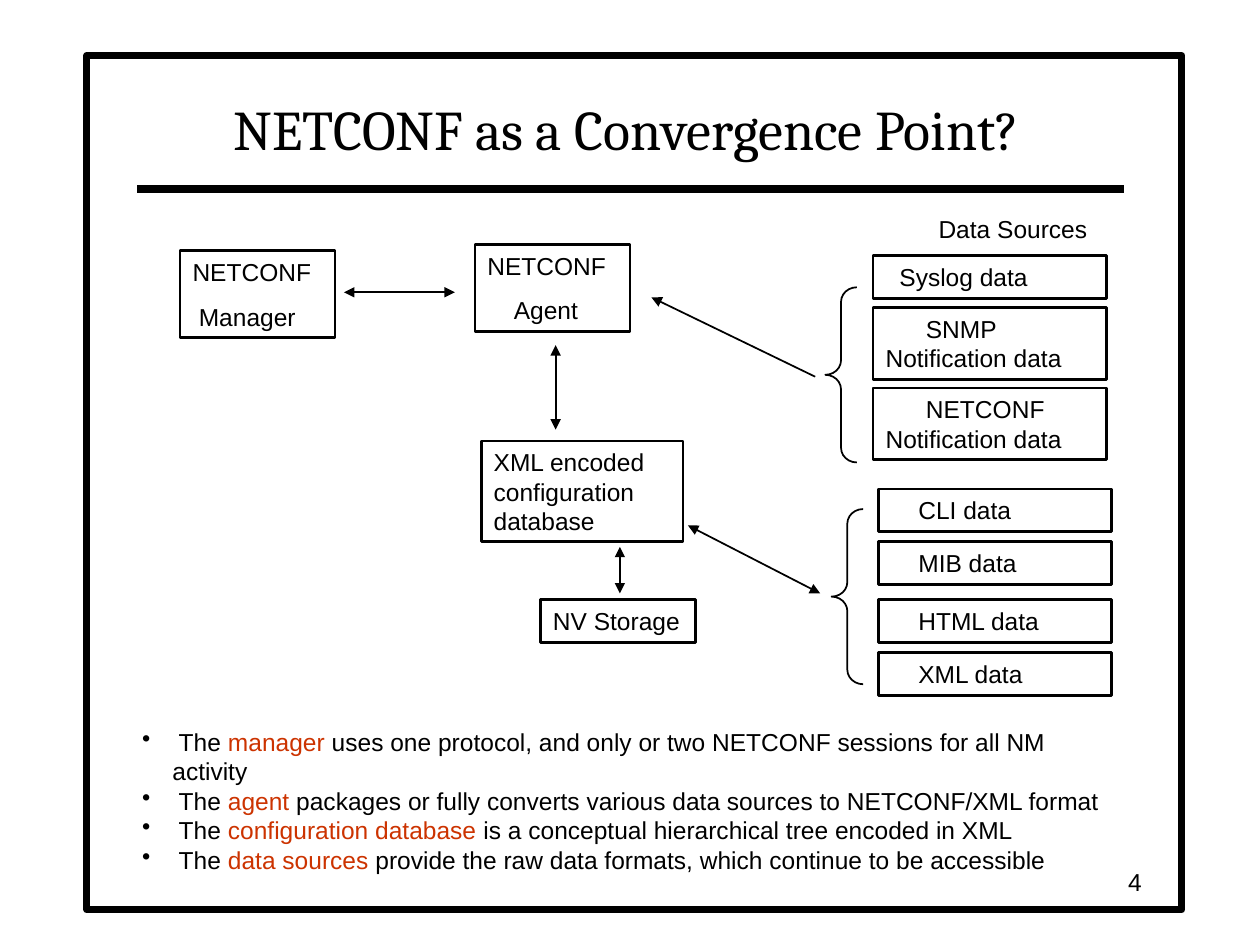
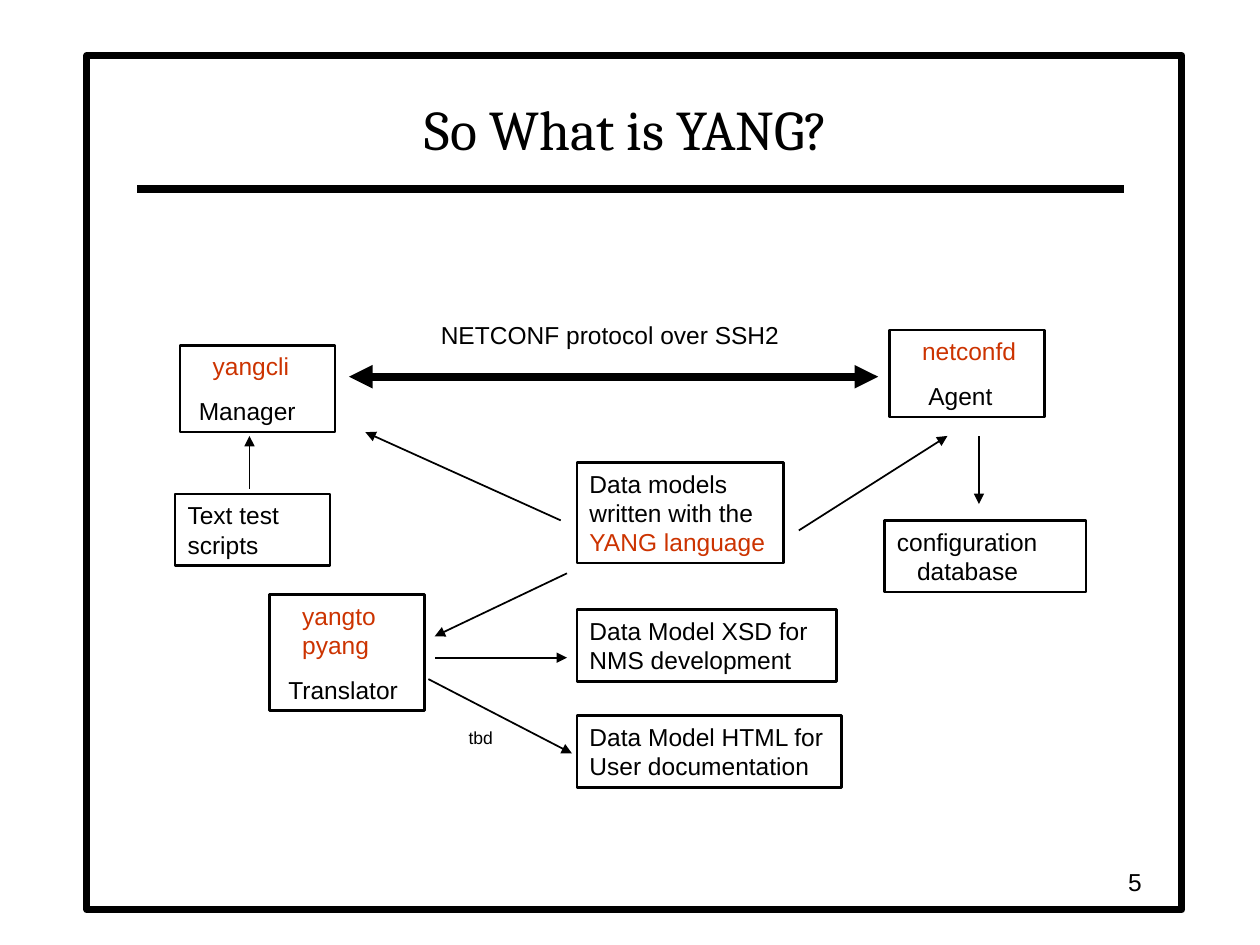
"""Build two slides on NETCONF and YANG."""
from dataclasses import dataclass

from lxml import etree
from pptx import Presentation
from pptx.dml.color import RGBColor
from pptx.enum.shapes import MSO_CONNECTOR, MSO_SHAPE
from pptx.enum.text import MSO_ANCHOR, PP_ALIGN
from pptx.oxml.ns import qn
from pptx.util import Pt

PX = 9144
RECTANGLE, BRACE = MSO_SHAPE.RECTANGLE, MSO_SHAPE.LEFT_BRACE
STRAIGHT = MSO_CONNECTOR.STRAIGHT
TOP, MIDDLE, BOTTOM = MSO_ANCHOR.TOP, MSO_ANCHOR.MIDDLE, MSO_ANCHOR.BOTTOM
LEFT, CENTER, RIGHT = PP_ALIGN.LEFT, PP_ALIGN.CENTER, PP_ALIGN.RIGHT


@dataclass(frozen=True)
class Theme:
    """Colours, fonts, type sizes and line widths of the deck."""
    ink: RGBColor = RGBColor(0, 0, 0)
    paper: RGBColor = RGBColor(255, 255, 255)
    accent: RGBColor = RGBColor(0xCC, 0x33, 0)
    title_font: str = "Cambria"
    body_font: str = "Arial"
    title_size: int = 32
    body_size: int = 14
    note_size: int = 10
    thin: float = 1
    outline: float = 1.5
    frame: float = 4
    thick: float = 4.5
    paragraph_gap: float = 8.8


THEME = Theme()


@dataclass
class Region:
    """A box on a slide, against which parts are placed."""
    slide: object
    left: int
    top: int
    width: int
    height: int

    def place(self, left, top, width, height):
        """Return the EMU rectangle of a part given relative to the region."""
        return [PX * length for length in
                (self.left + left, self.top + top, width, height)]

    def point(self, position):
        """Return the EMU position of a point in the region."""
        return PX * (self.left + position[0]), PX * (self.top + position[1])


@dataclass
class Line:
    """A paragraph; its accented words stand between asterisks."""
    text: str
    left: int = 0
    first: int = 0
    before: float = THEME.paragraph_gap
    bullet: str = ""


def apply(target, values):
    """Set attributes from a dict of format values."""
    for name, value in values.items():
        setattr(target, name, value)


def write(shape, lines, size=THEME.body_size, font=THEME.body_font,
          align=LEFT, anchor=TOP, wrap=True):
    """Fill a shape with paragraphs."""
    frame = shape.text_frame
    apply(frame, {"word_wrap": wrap, "vertical_anchor": anchor,
                  "margin_left": 10 * PX, "margin_right": 10 * PX,
                  "margin_top": 5 * PX, "margin_bottom": 5 * PX})
    for index, line in enumerate(lines):
        paragraph = frame.add_paragraph() if index else frame.paragraphs[0]
        properties = paragraph._p.get_or_add_pPr()
        properties.set("marL", str(line.left * PX))
        properties.set("indent", str(line.first * PX))
        if line.bullet:
            etree.SubElement(properties, qn("a:buChar"), char=line.bullet)
        apply(paragraph, {"alignment": align,
                          "space_before": Pt(line.before if index else 0)})
        for part, text in enumerate(line.text.split("*")):
            if text:
                run = paragraph.add_run()
                run.text = text
                apply(run.font, {"name": font, "size": Pt(size)})
                run.font.color.rgb = THEME.accent if part % 2 else THEME.ink


def outline(shape, width):
    """Draw the line of a shape or connector in ink."""
    shape.line.color.rgb = THEME.ink
    shape.line.width = Pt(width)


def add_outlined(region, kind, box, width):
    """Add an unfilled preset shape."""
    shape = region.slide.shapes.add_shape(kind, *region.place(*box))
    shape.shadow.inherit = False
    shape.fill.background()
    outline(shape, width)
    return shape


def add_node(region, box, *lines):
    """Add an outlined box with text."""
    write(add_outlined(region, RECTANGLE, box, THEME.outline), lines)


def add_label(region, box, *lines, **style):
    """Add a plain text box."""
    write(region.slide.shapes.add_textbox(*region.place(*box)), lines, **style)


def add_line(region, start, end, ends=(), width=THEME.thin):
    """Add a straight line with arrowheads at the named ends."""
    connector = region.slide.shapes.add_connector(
        STRAIGHT, *region.point(start), *region.point(end))
    outline(connector, width)
    for name in ends:
        etree.SubElement(connector.line._get_or_add_ln(), qn(f"a:{name}"),
                         type="triangle")
    etree.SubElement(connector._element.spPr, qn("a:effectLst"))


def add_arrow(region, head, tail):
    """Add an arrow that points at head."""
    add_line(region, head, tail, ("headEnd",))


def add_double_arrow(region, start, end, width=THEME.thin):
    """Add an arrow with a head at each end."""
    add_line(region, start, end, ("headEnd", "tailEnd"), width)


def add_column(region, left, top, gap, entries):
    """Stack data source boxes of the given heights."""
    for height, line in entries:
        add_node(region, (left, top, 185, height), line)
        top += height + gap


def add_brace(region, left, top):
    """Add the brace that gathers a column of data sources."""
    brace = add_outlined(region, BRACE, (left, top, 25, 139), THEME.thin)
    brace.adjustments[0] = 0.46


def draw_page(region, title, number):
    """Draw the frame, title, rule and page number."""
    frame = add_outlined(region, RECTANGLE,
                         (0, 0, region.width, region.height), THEME.frame)
    frame.fill.solid()
    frame.fill.fore_color.rgb = THEME.paper
    add_line(region, (40, 106), (823, 106), width=THEME.thick)
    add_label(region, (39, 14, 779, 75), Line(title), size=THEME.title_size,
              font=THEME.title_font, align=CENTER, anchor=BOTTOM)
    add_label(region, (639, 639, 208, 33), Line(str(number)), align=RIGHT,
              anchor=MIDDLE)


def draw_convergence(region):
    """Draw the manager, the agent and their storage."""
    add_node(region, (43, 39, 123, 69), Line("NETCONF"), Line("Manager", 5))
    add_node(region, (277, 34, 123, 69), Line("NETCONF"), Line("Agent", 21))
    add_node(region, (282, 190, 160, 80),
             Line("XML encoded configuration database"))
    add_node(region, (329, 316, 123, 34), Line("NV Storage"))
    for start, end in (((173, 72), (261, 72)), ((341, 181), (341, 114)),
                       ((392, 311), (392, 274)), ((551, 311), (446, 257))):
        add_double_arrow(region, start, end)
    add_arrow(region, (417, 76), (547, 139))


def draw_sources(region):
    """Draw the two braced columns of data sources."""
    add_label(region, (80, 0, 138, 34), Line("Data Sources"), wrap=False)
    add_column(region, 38, 38, 7, (
        (34, Line("Syslog data", 11)),
        (57, Line("SNMP Notification data", first=32)),
        (57, Line("NETCONF Notification data", first=32))))
    for top, names in ((223, ("CLI", "MIB")), (311, ("HTML", "XML"))):
        add_column(region, 42, top, 8,
                   [(34, Line(f"{name} data", 22)) for name in names])
    add_brace(region, 0, 63)
    add_brace(region, 5, 239)


def draw_summary(region):
    """Write the bulleted summary."""
    texts = (
        " The *manager* uses one protocol, and only or two NETCONF sessions "
        "for all NM activity",
        " The *agent* packages or fully converts various data sources to "
        "NETCONF/XML format",
        " The *configuration database* is a conceptual hierarchical tree "
        "encoded in XML",
        " The *data sources* provide the raw data formats, which continue to "
        "be accessible")
    add_label(region, (0, 0, region.width, region.height),
              *[Line(text, 24, -24, 0, "•") for text in texts])


def draw_yang(region):
    """Draw the tools that work with YANG data models."""
    add_node(region, (43, 114, 123, 69),
             Line("*yangcli*", 16), Line("Manager", 5))
    add_node(region, (606, 102, 123, 69),
             Line("*netconfd*", 16), Line("Agent", 21))
    add_node(region, (39, 232, 123, 57), Line("Text test scripts"))
    add_node(region, (602, 253, 160, 57),
             Line("configuration"), Line("database", 16, before=0))
    add_node(region, (114, 312, 123, 92), Line("*yangto*", 16),
             Line("*pyang*", 16, before=0), Line("Translator", 5))
    add_node(region, (358, 207, 164, 80),
             Line("Data models written with the *YANG language*"))
    add_node(region, (358, 324, 206, 57),
             Line("Data Model XSD for NMS development"))
    add_node(region, (358, 408, 210, 57),
             Line("Data Model HTML for User documentation"))
    add_label(region, (240, 89, 289, 34), Line("NETCONF protocol over SSH2"),
              wrap=False)
    add_label(region, (262, 412, 39, 27), Line("tbd"), size=THEME.note_size,
              wrap=False)
    add_double_arrow(region, (177, 139), (597, 139), THEME.thick)
    for head, tail in (((190, 183), (345, 253)), ((652, 186), (534, 261)),
                       ((245, 345), (350, 295)), ((350, 362), (245, 362)),
                       ((354, 438), (240, 379)), ((98, 186), (98, 228)),
                       ((677, 240), (677, 186))):
        add_arrow(region, head, tail)


def main():
    """Build and save the presentation."""
    presentation = Presentation()
    apply(presentation, {"slide_width": 1000 * PX, "slide_height": 750 * PX})
    pages = (
        ("NETCONF as a Convergence Point?", (
            (draw_convergence, (100, 160, 560, 360)),
            (draw_sources, (655, 165, 227, 388)),
            (draw_summary, (103, 572, 794, 104)))),
        ("So What is YANG?", ((draw_yang, (100, 160, 780, 480)),)))
    for number, (title, parts) in enumerate(pages, start=4):
        slide = presentation.slides.add_slide(presentation.slide_layouts[6])
        draw_page(Region(slide, 69, 44, 869, 678), title, number)
        for draw, box in parts:
            draw(Region(slide, *box))
    presentation.save("out.pptx")


if __name__ == "__main__":
    main()
